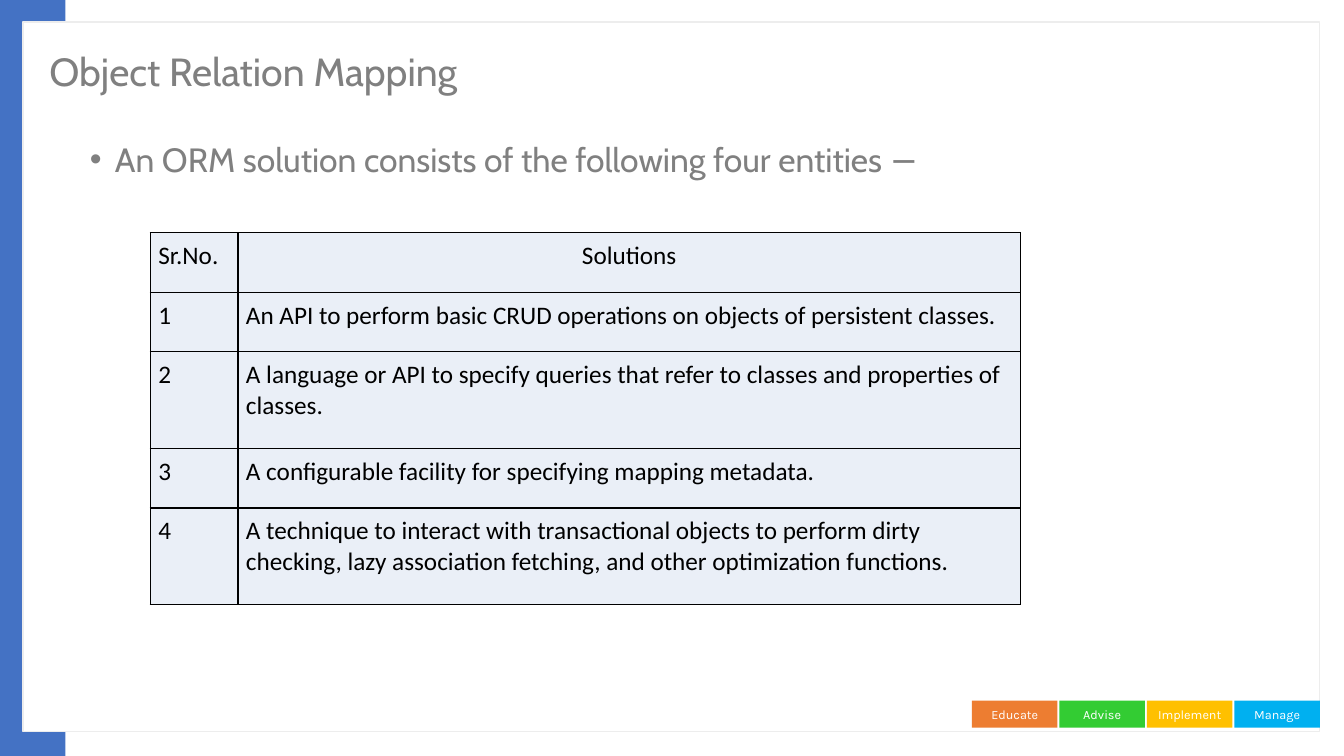
from dataclasses import dataclass

from lxml.etree import SubElement
from pptx import Presentation
from pptx.dml.color import RGBColor
from pptx.enum.shapes import MSO_SHAPE
from pptx.enum.text import MSO_ANCHOR, MSO_AUTO_SIZE, PP_ALIGN
from pptx.oxml.ns import qn
from pptx.util import Inches, Pt


@dataclass(frozen=True)
class Theme:
    """Colours, fonts and type sizes of the slide."""

    white: str = "FFFFFF"
    black: str = "000000"
    grey: str = "808080"
    frame: str = "EDEDED"
    band: str = "4472C4"
    cell: str = "EAEFF7"
    heading_font: str = "Cabin"
    table_font: str = "Calibri"
    tag_font: str = "Karla"
    title_size: int = 28
    body_size: int = 24
    table_size: int = 18
    tag_size: int = 9


THEME = Theme()
TAGS = [("Educate", "ED7D31"), ("Advise", "33CC33"), ("Implement", "FFC000"), ("Manage", "00B0F0")]
ENTITIES = [
    ("Sr.No.", "Solutions"),
    ("1", "An API to perform basic CRUD operations on objects of persistent classes."),
    ("2", "A language or API to specify queries that refer to classes and properties of classes."),
    ("3", "A configurable facility for specifying mapping metadata."),
    ("4", "A technique to interact with transactional objects to perform dirty checking, "
          "lazy association fetching, and other optimization functions."),
]
COLUMN_WIDTHS = (0.87, 7.76)
ROW_HEIGHTS = (0.59, 0.59, 0.96, 0.59, 0.96)


def set_attributes(target, values):
    """Set every attribute named in the dict on the target."""
    for name, value in values.items():
        setattr(target, name, value)


def write_text(paragraph, text, font, size, color, **formats):
    """Write one run and format it and its paragraph."""
    run = paragraph.add_run()
    run.text = text
    set_attributes(run.font, {"name": font, "size": Pt(size), "bold": False})
    run.font.color.rgb = RGBColor.from_string(color)
    set_attributes(paragraph, formats)


def add_rectangle(slide, box, fill, line=None):
    """Add a flat rectangle with an optional outline."""
    shape = slide.shapes.add_shape(MSO_SHAPE.RECTANGLE, *map(Inches, box))
    shape.shadow.inherit = False
    shape.fill.solid()
    shape.fill.fore_color.rgb = RGBColor.from_string(fill)
    if line:
        shape.line.color.rgb = RGBColor.from_string(line)
        shape.line.width = Pt(1)
    else:
        shape.line.fill.background()
    return shape


def add_backdrop(slide, box):
    """Draw the blue side band and the framed white panel."""
    left, top, width, height = box
    add_rectangle(slide, (left, top, 0.65, height), THEME.band)
    panel = (left + 0.23, top + 0.22, width - 0.47, height - 0.46)
    add_rectangle(slide, panel, THEME.white, THEME.frame)


def add_tags(slide, box, gap=0.02):
    """Draw the row of coloured tags in equal widths."""
    left, top, width, height = box
    tag_width = (width - gap * (len(TAGS) - 1)) / len(TAGS)
    for index, (label, color) in enumerate(TAGS):
        tag_left = left + index * (tag_width + gap)
        tag = add_rectangle(slide, (tag_left, top, tag_width, height), color)
        set_attributes(tag.text_frame, {
            "margin_left": 0, "margin_right": 0, "margin_top": 0, "margin_bottom": 0,
            "vertical_anchor": MSO_ANCHOR.MIDDLE})
        write_text(tag.text_frame.paragraphs[0], label, THEME.tag_font, THEME.tag_size,
                   THEME.white, alignment=PP_ALIGN.CENTER)


def place_placeholder(placeholder, box, anchor):
    """Move a placeholder into its box, to the front, and return its paragraph."""
    set_attributes(placeholder, dict(zip(("left", "top", "width", "height"), map(Inches, box))))
    set_attributes(placeholder.text_frame, {
        "auto_size": MSO_AUTO_SIZE.NONE, "word_wrap": True, "vertical_anchor": anchor})
    tree = placeholder.element.getparent()
    tree.append(placeholder.element)
    return placeholder.text_frame.paragraphs[0]


def add_title(slide, box):
    """Fill the title placeholder."""
    paragraph = place_placeholder(slide.shapes.title, box, MSO_ANCHOR.MIDDLE)
    write_text(paragraph, "Object Relation Mapping", THEME.heading_font, THEME.title_size,
               THEME.grey, alignment=PP_ALIGN.LEFT, line_spacing=0.9)


def add_body(slide, box):
    """Fill the body placeholder with the bulleted lead sentence."""
    paragraph = place_placeholder(slide.placeholders[1], box, MSO_ANCHOR.TOP)
    write_text(paragraph, "An ORM solution consists of the following four entities \u2212",
               THEME.heading_font, THEME.body_size, THEME.grey,
               line_spacing=0.9, space_before=Pt(10))
    properties = paragraph._p.get_or_add_pPr()
    properties.set("marL", str(Inches(0.25)))
    properties.set("indent", str(-Inches(0.25)))
    SubElement(properties, qn("a:buFont"), typeface="Arial")
    SubElement(properties, qn("a:buChar"), char="\u2022")


def add_borders(cell):
    """Give a table cell thin black borders on all four sides."""
    properties = cell._tc.get_or_add_tcPr()
    for side in ("lnL", "lnR", "lnT", "lnB"):
        line = SubElement(properties, qn(f"a:{side}"), w=str(Pt(1)))
        SubElement(SubElement(line, qn("a:solidFill")), qn("a:srgbClr"), val=THEME.black)


def add_entity_table(slide, box):
    """Add the table of the four entities."""
    frame = slide.shapes.add_table(len(ENTITIES), len(COLUMN_WIDTHS), *map(Inches, box))
    table = frame.table
    set_attributes(table, {"first_row": False, "horz_banding": False})
    for column, width in zip(table.columns, COLUMN_WIDTHS):
        column.width = Inches(width)
    for row_index, (row, height) in enumerate(zip(table.rows, ROW_HEIGHTS)):
        row.height = Inches(height)
        for column_index, text in enumerate(ENTITIES[row_index]):
            cell = row.cells[column_index]
            add_borders(cell)
            cell.fill.solid()
            cell.fill.fore_color.rgb = RGBColor.from_string(THEME.cell)
            for side in ("left", "right", "top", "bottom"):
                setattr(cell, f"margin_{side}", Inches(0.08))
            centred = row_index == 0 and column_index == 1
            write_text(cell.text_frame.paragraphs[0], text, THEME.table_font,
                       THEME.table_size, THEME.black,
                       alignment=PP_ALIGN.CENTER if centred else PP_ALIGN.LEFT)


def build_table_slide(presentation):
    """Build the slide with a title, a lead sentence and the entity table."""
    slide = presentation.slides.add_slide(presentation.slide_layouts[1])
    add_backdrop(slide, (0, 0, 13.33, 7.5))
    add_tags(slide, (9.64, 6.95, 3.45, 0.27))
    add_title(slide, (0.39, 0.3, 10.32, 0.87))
    add_body(slide, (0.79, 1.37, 12.07, 5.53))
    add_entity_table(slide, (1.49, 2.31, sum(COLUMN_WIDTHS), sum(ROW_HEIGHTS)))


def main():
    """Create and save the presentation."""
    presentation = Presentation()
    set_attributes(presentation, {"slide_width": Inches(13.33), "slide_height": Inches(7.5)})
    build_table_slide(presentation)
    presentation.save("out.pptx")


main()
